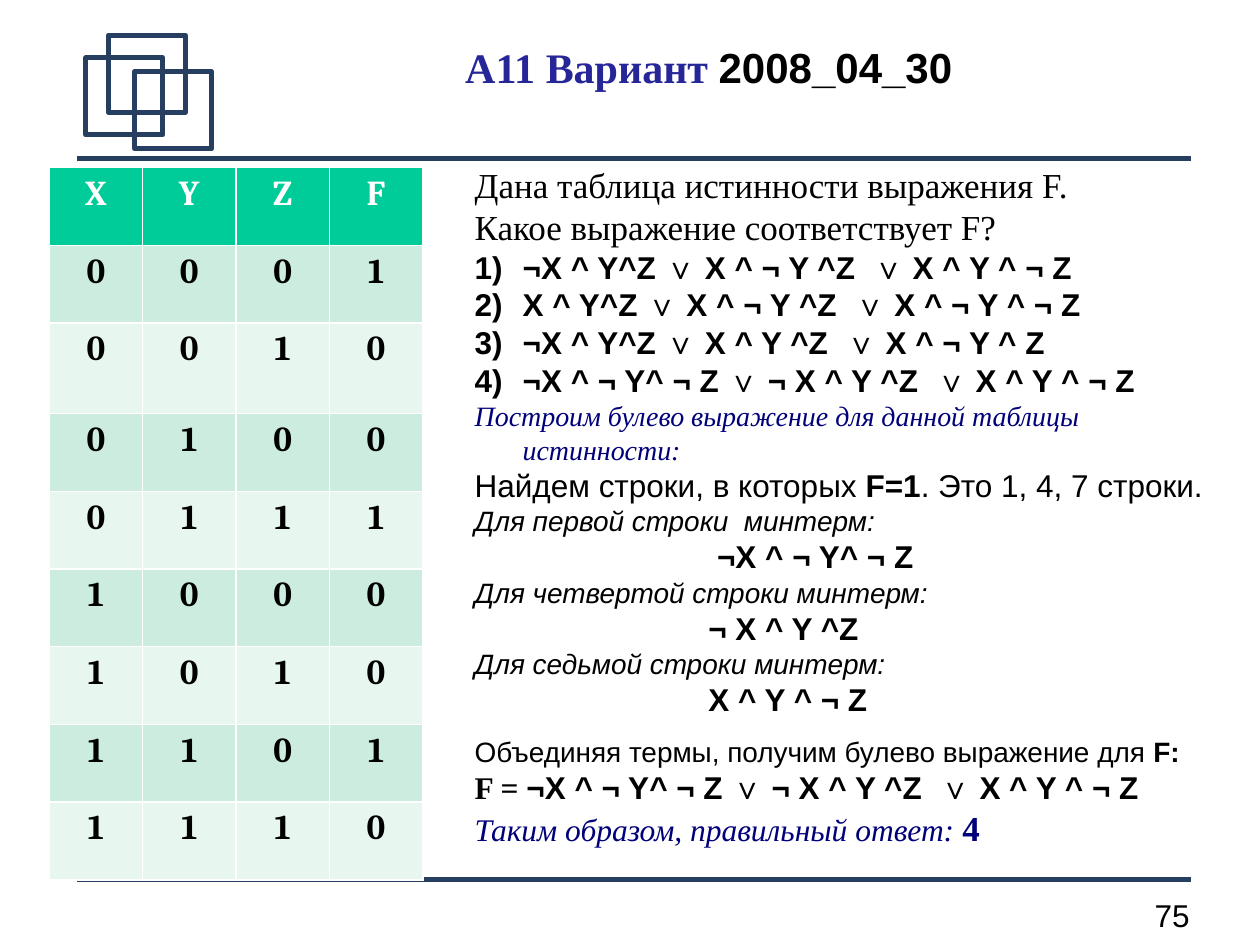
"""Build the A11 slide: a truth table and the derivation of its Boolean expression."""
import pptx
import pptx.dml.color
import pptx.enum.shapes
import pptx.enum.text
import pptx.oxml.ns
import pptx.util
from lxml import etree

Pt = pptx.util.Pt
RGBColor = pptx.dml.color.RGBColor
ALIGN = pptx.enum.text.PP_ALIGN
SHAPE = pptx.enum.shapes.MSO_SHAPE
qn = pptx.oxml.ns.qn

BLACK = RGBColor(0x00, 0x00, 0x00)
WHITE = RGBColor(0xFF, 0xFF, 0xFF)
SLATE = RGBColor(0x26, 0x3E, 0x60)
TITLE_BLUE = RGBColor(0x26, 0x26, 0x99)
NAVY = RGBColor(0x00, 0x00, 0x7A)
GREEN = RGBColor(0x00, 0xCC, 0x99)
BANDS = (RGBColor(0xE7, 0xF6, 0xEF), RGBColor(0xCB, 0xEC, 0xDE))
SERIF = "Times New Roman"
HANG = 27.4


def write(paragraph, text, font="Arial", size=18, color=BLACK, bold=False, italic=False):
    run = paragraph.add_run()
    run.text = text
    run.font.name = font
    run.font.size = Pt(size)
    run.font.color.rgb = color
    run.font.bold = bold
    run.font.italic = italic


def add_frame(left, top, width, height):
    frame = slide.shapes.add_textbox(Pt(left), Pt(top), Pt(width), Pt(height)).text_frame
    frame.word_wrap = True
    return frame


deck = pptx.Presentation()
deck.slide_width, deck.slide_height = Pt(720), Pt(540)
slide = deck.slides.add_slide(deck.slide_layouts[6])

for rule_y in (502.6, 90.7):
    rule = slide.shapes.add_connector(
        pptx.enum.shapes.MSO_CONNECTOR.STRAIGHT, Pt(44), Pt(rule_y), Pt(680.4), Pt(rule_y))
    rule.line.color.rgb = SLATE
    rule.line.width = Pt(2.83)
    etree.SubElement(rule._element.spPr, qn("a:effectLst"))

for left, top in ((49, 33.1), (61.9, 20.2), (77, 41)):
    square = slide.shapes.add_shape(SHAPE.ROUNDED_RECTANGLE, Pt(left), Pt(top), Pt(44), Pt(44))
    square.adjustments[0] = 0
    square.shadow.inherit = False
    square.fill.background()
    square.line.color.rgb = SLATE
    square.line.width = Pt(2.83)

page_number = add_frame(608.4, 508.3, 78.5, 28.8).paragraphs[0]
page_number.alignment = ALIGN.RIGHT
write(page_number, "75")

title_frame = add_frame(93.6, 15.1, 614.9, 61.9)
title_frame.vertical_anchor = pptx.enum.text.MSO_ANCHOR.MIDDLE
title_frame.margin_left = Pt(15)
title_frame.margin_bottom = Pt(19.6)
title = title_frame.paragraphs[0]
title.alignment = ALIGN.CENTER
write(title, "A11 Вариант ", font=SERIF, size=24, color=TITLE_BLUE, bold=True)
write(title, "2008_04_30", size=24, bold=True)

question = dict(font=SERIF, size=20)
formula = dict(bold=True)
row_label = dict(size=16, italic=True)
ANSWER = "¬X ^ ¬ Y^ ¬ Z ∨ ¬ X ^ Y ^Z  ∨ X ^ Y ^ ¬ Z"
numbered = dict(numbered=True)
solution = [
    ({}, [("Дана таблица истинности выражения F.", question)]),
    ({}, [("Какое выражение соответствует F?", question)]),
    (numbered, [("¬X ^ Y^Z ∨ X ^ ¬ Y ^Z  ∨ X ^ Y ^ ¬ Z", formula)]),
    (numbered, [("X ^ Y^Z ∨ X ^ ¬ Y ^Z  ∨ X ^ ¬ Y ^ ¬ Z", formula)]),
    (numbered, [("¬X ^ Y^Z ∨ X ^ Y ^Z  ∨ X ^ ¬ Y ^ Z", formula)]),
    (numbered, [(ANSWER, formula)]),
    (dict(align=ALIGN.LEFT), [("Построим булево выражение для данной таблицы истинности:",
                               dict(font=SERIF, size=16, color=NAVY, italic=True))]),
    ({}, [("Найдем строки, в которых ", {}), ("F=1", formula), (". Это 1, 4, 7 строки.", {})]),
    ({}, [("Для первой строки  минтерм:", row_label)]),
    (dict(margin=138.5), [("¬X ^ ¬ Y^ ¬ Z", formula)]),
    ({}, [("Для четвертой строки минтерм:", row_label)]),
    (dict(margin=133.5), [("¬ X ^ Y ^Z", formula)]),
    ({}, [("Для седьмой строки минтерм:", row_label)]),
    (dict(margin=133.5), [("X ^ Y ^ ¬ Z", formula)]),
    (dict(spacing=1.5), [("Объединяя термы, получим булево выражение для ", dict(size=16)),
                         ("F:", dict(size=16, bold=True))]),
    ({}, [("F = ", dict(font=SERIF, bold=True)), (ANSWER, formula)]),
    ({}, [("Таким образом, правильный ответ: ", dict(font=SERIF, color=NAVY, italic=True)),
          ("4", dict(font=SERIF, size=20, color=NAVY, bold=True))]),
]

solution_frame = add_frame(264.2, 90, 444.2, 405.4)
for index, (layout, runs) in enumerate(solution):
    paragraph = solution_frame.add_paragraph() if index else solution_frame.paragraphs[0]
    paragraph.alignment = layout.get("align", ALIGN.JUSTIFY)
    properties = paragraph._p.get_or_add_pPr()
    margin = layout.get("margin")
    properties.set("marL", str(Pt(margin or HANG)))
    properties.set("indent", str(0 if margin else -Pt(HANG)))
    if layout.get("numbered"):
        etree.SubElement(properties, qn("a:buFont"), typeface="Arial")
        etree.SubElement(properties, qn("a:buAutoNum"), type="arabicParenR")
    if "spacing" in layout:
        paragraph.line_spacing = layout["spacing"]
    for text, style in runs:
        write(paragraph, text, **style)

truth_rows = ["XYZF", "0001", "0010", "0100", "0111", "1000", "1010", "1101", "1110"]
truth_table = slide.shapes.add_table(
    len(truth_rows), 4, Pt(28.1), Pt(95.8), Pt(213.6), Pt(407)).table
for column in truth_table.columns:
    column.width = Pt(53.4)
for row_index, values in enumerate(truth_rows):
    truth_table.rows[row_index].height = Pt(51.8 if row_index == 2 else 44.4)
    for column_index, value in enumerate(values):
        cell = truth_table.cell(row_index, column_index)
        cell.fill.solid()
        cell.fill.fore_color.rgb = BANDS[row_index % 2] if row_index else GREEN
        entry = cell.text_frame.paragraphs[0]
        entry.alignment = ALIGN.CENTER
        write(entry, value, font="Cambria", size=20, bold=True,
              color=BLACK if row_index else WHITE)

deck.save("out.pptx")
